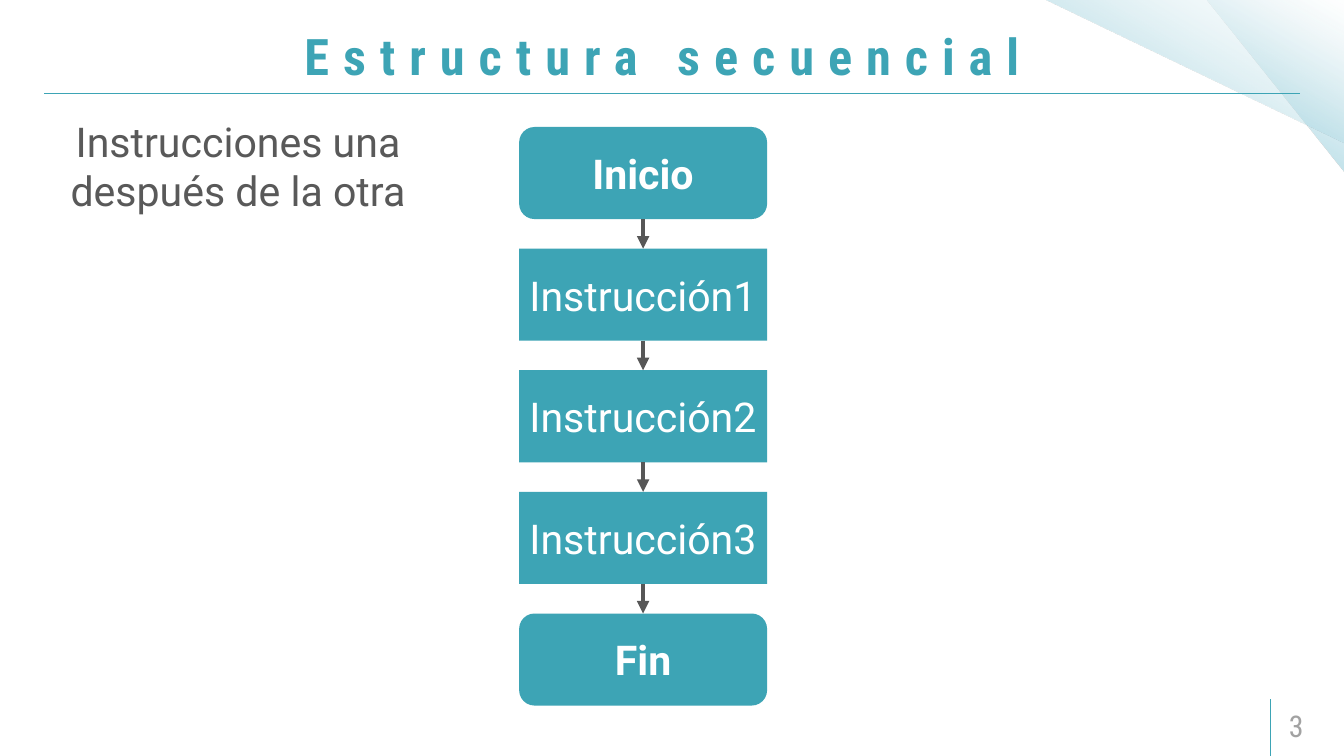
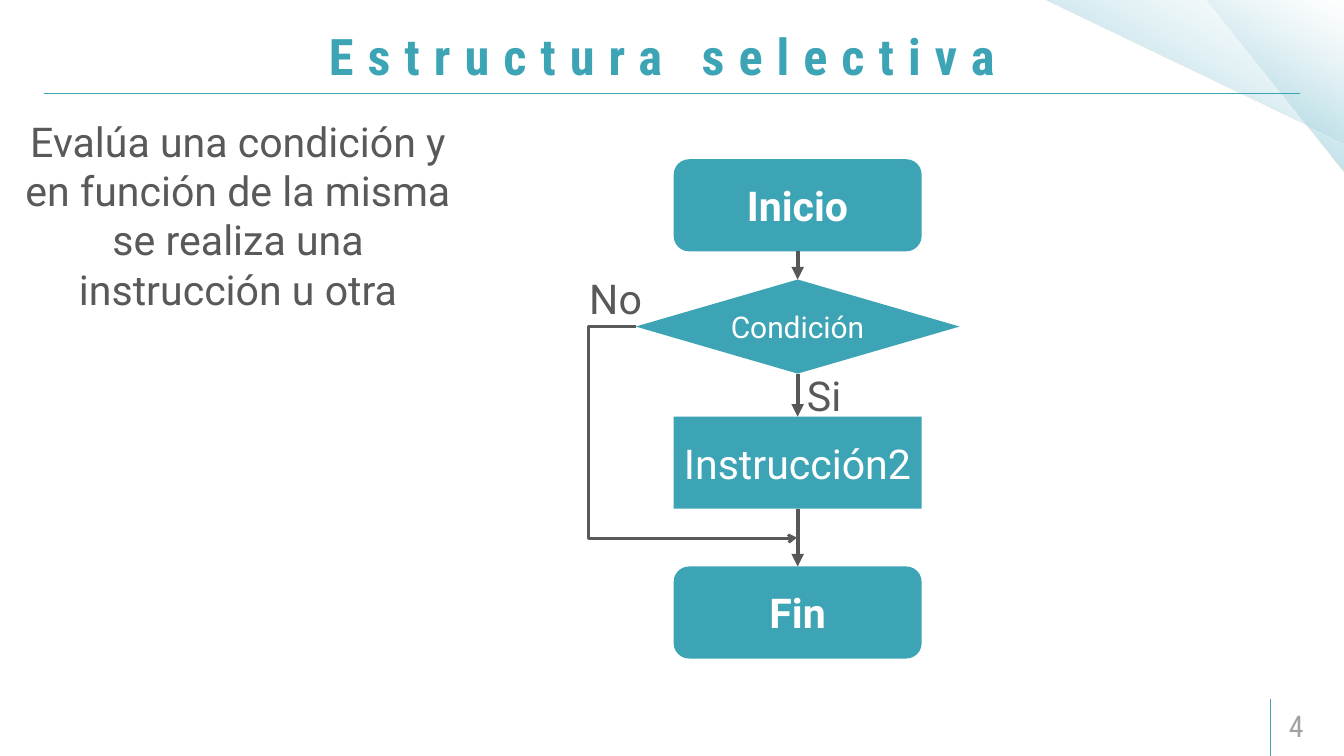
from dataclasses import dataclass

from lxml import etree
from pptx import Presentation
from pptx.dml.color import RGBColor
from pptx.enum import shapes as kinds, text as txt
from pptx.oxml import parse_xml
from pptx.oxml.ns import nsdecls, qn
from pptx.util import Inches, Pt

# Colours and fonts
TEAL = RGBColor(0x3D, 0xA4, 0xB5)
WHITE = RGBColor(0xFF, 0xFF, 0xFF)
GREY = RGBColor(0x59, 0x59, 0x59)
ARROW = RGBColor(0x57, 0x57, 0x57)
PALE = RGBColor(0xA2, 0xA2, 0xA2)
FADE = [(0, "97D1E0", 100), (50, "AAD7E2", 44), (100, "E0F0F4", 0)]
BODY = "Roboto"
HEAD = "Roboto Condensed"

ROUND = kinds.MSO_SHAPE.ROUNDED_RECTANGLE
RECT = kinds.MSO_SHAPE.RECTANGLE
RHOMB = kinds.MSO_SHAPE.FLOWCHART_DECISION
CENTER = txt.PP_ALIGN.CENTER
MIDDLE = txt.MSO_ANCHOR.MIDDLE
TOP, LEFT, BOTTOM = 0, 1, 2


@dataclass
class Step:
    label: str
    top: float
    kind: int = RECT
    width: float = 3.69
    height: float = 1.37
    size: int = 44

    @property
    def bold(self) -> bool:
        return self.kind == ROUND


# Text and lines
def write(shape, words: str, *, size=44, font=BODY, color=GREY, bold=False,
          align=None, anchor=None, gap=0, inset=None) -> None:
    frame = shape.text_frame
    frame.word_wrap = True
    frame.auto_size = txt.MSO_AUTO_SIZE.NONE
    if anchor is not None:
        frame.vertical_anchor = anchor
    if inset:
        frame.margin_left = frame.margin_right = Inches(inset)
        frame.margin_top = frame.margin_bottom = Inches(inset / 2)
    para = frame.paragraphs[0]
    para.alignment = align
    run = para.add_run()
    run.text = words
    run.font.size = Pt(size)
    run.font.name = font
    run.font.bold = bold
    run.font.color.rgb = color
    if gap:
        run.font._element.set("spc", str(gap * 100))


def label(slide, words: str, x: float, y: float, w: float, h: float, **style):
    box = slide.shapes.add_textbox(Inches(x), Inches(y), Inches(w), Inches(h))
    write(box, words, **style)
    return box


def rule(slide, start: tuple, end: tuple, *, color=TEAL, width=1.0,
         head="", kind=kinds.MSO_CONNECTOR.STRAIGHT):
    line = slide.shapes.add_connector(
        kind, *(Inches(v) for v in (*start, *end)))
    line.line.color.rgb = color
    line.line.width = Pt(width)
    if head:
        etree.SubElement(line.line._get_or_add_ln(), qn("a:tailEnd"), type=head)
    etree.SubElement(line._element.spPr, qn("a:effectLst"))
    return line


# Shared background, kept on the layout
def wedge(slide, x: float, w: float, h: float):
    shape = slide.shapes.add_shape(
        kinds.MSO_SHAPE.RIGHT_TRIANGLE,
        Inches(x), Inches(0), Inches(w), Inches(h))
    shape.rotation = 180
    shape.shadow.inherit = False
    shape.line.fill.background()
    stops = "".join(
        f'<a:gs pos="{pos * 1000}"><a:srgbClr val="{tint}">'
        f'<a:alpha val="{alpha * 1000}"/></a:srgbClr></a:gs>'
        for pos, tint, alpha in FADE)
    fill = parse_xml(
        f'<a:gradFill {nsdecls("a")} rotWithShape="1"><a:gsLst>{stops}</a:gsLst>'
        '<a:lin ang="7200000" scaled="0"/></a:gradFill>')
    shape._element.spPr.find(qn("a:prstGeom")).addnext(fill)
    return shape


def dress(slide) -> None:
    decor = [
        wedge(slide, 17.96, 2.04, 2.57),
        wedge(slide, 15.54, 4.48, 2.13),
        rule(slide, (0.66, 1.39), (19.34, 1.39)),
        rule(slide, (18.91, 11.25), (18.91, 10.4)),
    ]
    tree = slide.slide_layout.shapes.element
    for spot, part in enumerate(decor, start=2):
        tree.insert(spot, part._element)


def page(deck, title: str, note: str, height: float, number: int):
    slide = deck.slides.add_slide(deck.slide_layouts[5])
    head = slide.shapes.title
    head.left, head.top = Inches(0.7), Inches(0.21)
    head.width, head.height = Inches(18.31), Inches(1.23)
    write(head, title, size=54, font=HEAD, color=TEAL, bold=True,
          align=CENTER, anchor=MIDDLE, gap=15, inset=0.18)
    label(slide, str(number), 19, 10.49, 0.99, 0.6, size=32, font=HEAD,
          color=PALE, anchor=MIDDLE, inset=0.18)
    label(slide, note, 0.2, 1.68, 6.69, height, align=CENTER)
    return slide


# Flow chart: steps centred on one axis, each joined to the next
def flow(slide, axis: float, steps: list[Step]) -> list:
    nodes = []
    for step in steps:
        node = slide.shapes.add_shape(
            step.kind, Inches(axis - step.width / 2), Inches(step.top),
            Inches(step.width), Inches(step.height))
        node.shadow.inherit = False
        node.fill.solid()
        node.fill.fore_color.rgb = TEAL
        node.line.fill.background()
        write(node, step.label, size=step.size, color=WHITE, bold=step.bold,
              align=CENTER, anchor=MIDDLE)
        nodes.append(node)
    for upper, lower in zip(nodes, nodes[1:]):
        link = rule(slide, (axis, 0), (axis, 1), color=ARROW, width=4.5,
                    head="triangle")
        link.begin_connect(upper, BOTTOM)
        link.end_connect(lower, TOP)
    return nodes


def bypass(slide, node, start: tuple, end: tuple) -> None:
    link = rule(slide, start, end, color=GREY, width=3, head="arrow",
                kind=kinds.MSO_CONNECTOR.ELBOW)
    link.begin_connect(node, LEFT)
    shape = link._element.spPr.find(qn("a:prstGeom"))
    shape.set("prst", "bentConnector4")
    guides = shape.find(qn("a:avLst"))
    for name, value in (("adj1", -29500), ("adj2", 100500)):
        etree.SubElement(guides, qn("a:gd"), name=name, fmla=f"val {value}")


def main() -> None:
    deck = Presentation()
    deck.slide_width, deck.slide_height = Inches(20), Inches(11.25)

    # Sequence
    slide = page(deck, "Estructura secuencial",
                 "Instrucciones una después de la otra", 1.58, 3)
    dress(slide)
    names = ["Inicio", "Instrucción1", "Instrucción2", "Instrucción3", "Fin"]
    flow(slide, 9.57, [
        Step(name, 1.89 + 1.81 * i, ROUND if i in (0, 4) else RECT)
        for i, name in enumerate(names)])

    # Selection
    slide = page(deck, "Estructura selectiva",
                 "Evalúa una condición y en función de la misma "
                 "se realiza una instrucción u otra", 3.06, 4)
    nodes = flow(slide, 11.87, [
        Step("Inicio", 2.37, ROUND),
        Step("Condición", 4.16, RHOMB, width=4.82, height=1.4, size=32),
        Step("Instrucción2", 6.2),
        Step("Fin", 8.43, ROUND)])
    bypass(slide, nodes[1], (9.46, 4.86), (11.86, 8))
    label(slide, "Si", 11.91, 5.46, 1.18, 0.84)
    label(slide, "No", 8.67, 4.02, 1.18, 0.84)

    deck.save("out.pptx")


if __name__ == "__main__":
    main()
